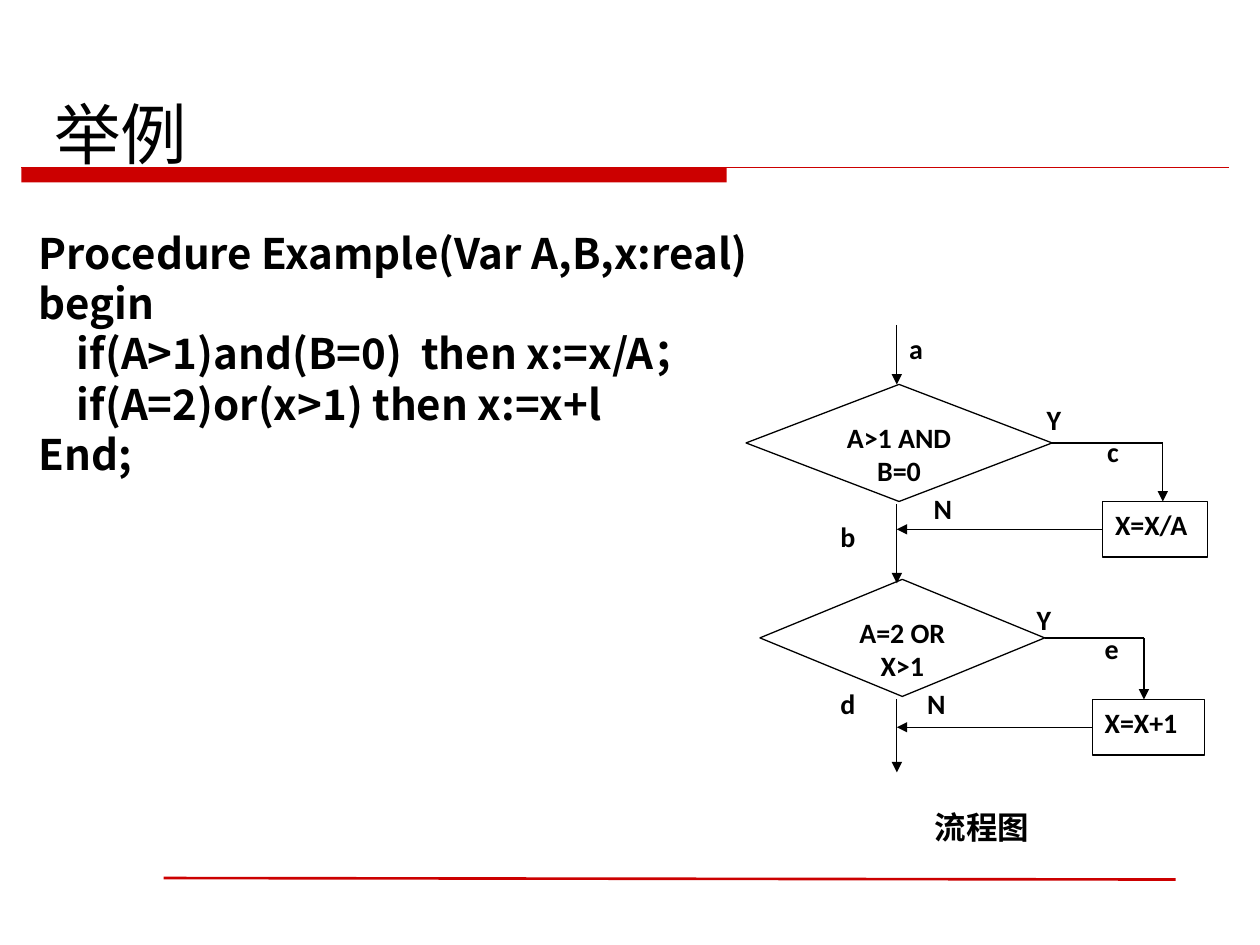
from lxml.etree import SubElement
from pptx import Presentation
from pptx.dml.color import RGBColor
from pptx.enum.shapes import MSO_CONNECTOR, MSO_SHAPE
from pptx.enum.text import MSO_ANCHOR as Anchor, MSO_AUTO_SIZE as AutoSize, PP_ALIGN as Align
from pptx.oxml.ns import qn
from pptx.util import Cm, Pt

BLACK, WHITE, RED = "000000", "FFFFFF", "CC0000"
TOP, LEFT, RIGHT = 0, 1, 3
STEM_X = 18.08

CODE = """Procedure Example(Var A,B,x:real)
begin
    if(A>1)and(B=0)  then x:=x/A；
    if(A=2)or(x>1) then x:=x+l
End;"""

LABELS = [
    ("Y", 20.85, 7.98), ("Y", 20.65, 12.01),
    ("N", 18.57, 9.78), ("N", 18.44, 13.72),
    ("a", STEM_X, 6.55), ("b", 16.69, 10.34), ("c", 22.07, 8.64),
    ("d", 16.69, 13.72), ("e", 22.02, 12.6),
]


def color(value):
    return RGBColor.from_string(value)


def write_text(shape, text, size=16, font="Calibri", bold=True,
               align=Align.JUSTIFY, anchor=Anchor.TOP, line_spacing=None):
    frame = shape.text_frame
    frame.word_wrap = True
    frame.auto_size = AutoSize.NONE
    frame.vertical_anchor = anchor
    frame.margin_left = frame.margin_right = Cm(0.25)
    frame.margin_top = frame.margin_bottom = Cm(0.13)
    frame.text = text
    for paragraph in frame.paragraphs:
        paragraph.alignment = align
        if line_spacing:
            paragraph.line_spacing = Pt(line_spacing)
        for run in paragraph.runs:
            run.font.size = Pt(size)
            run.font.bold = bold
            run.font.color.rgb = color(BLACK)
            run.font.name = font
            SubElement(run.font._element, qn("a:ea"), typeface=font)


def add_text(slide, text, left, top, width=1.37, height=1.12, **text_format):
    box = slide.shapes.add_textbox(Cm(left), Cm(top), Cm(width), Cm(height))
    write_text(box, text, **text_format)


def add_box(slide, kind, left, top, width, height, fill=WHITE, line=BLACK):
    shape = slide.shapes.add_shape(kind, Cm(left), Cm(top), Cm(width), Cm(height))
    shape.shadow.inherit = False
    shape.fill.solid()
    shape.fill.fore_color.rgb = color(fill)
    if line:
        shape.line.color.rgb = color(line)
        shape.line.width = Pt(0.75)
    else:
        shape.line.fill.background()
    return shape


def add_line(slide, start, end, line=BLACK, width=0.75, arrow=False):
    connector = slide.shapes.add_connector(
        MSO_CONNECTOR.STRAIGHT, *(Cm(value) for value in (*start, *end)))
    connector.line.color.rgb = color(line)
    connector.line.width = Pt(width)
    if arrow:
        SubElement(connector.line._get_or_add_ln(), qn("a:tailEnd"), type="triangle")
    SubElement(connector._element.spPr, qn("a:effectLst"))
    return connector


def add_branch(slide, condition, diamond, action, box, drop_x):
    """Draw a decision, its action and the lines leading there and back."""
    decision = add_box(slide, MSO_SHAPE.FLOWCHART_DECISION, *diamond)
    write_text(decision, condition, align=Align.CENTER)
    step = add_box(slide, MSO_SHAPE.RECTANGLE, *box)
    write_text(step, action)

    left, top, width, height = diamond
    branch_y = top + height / 2
    out = add_line(slide, (left + width, branch_y), (drop_x, branch_y))
    out.begin_connect(decision, RIGHT)
    add_line(slide, (drop_x, branch_y), (drop_x, box[1]), arrow=True)

    return_y = box[1] + box[3] / 2
    back = add_line(slide, (box[0], return_y), (STEM_X, return_y), arrow=True)
    back.begin_connect(step, LEFT)


def add_rules(slide):
    add_box(slide, MSO_SHAPE.RECTANGLE, 0.43, 3.38, 14.22, 0.3, fill=RED, line=None)
    add_line(slide, (0.43, 3.38), (24.77, 3.38), line=RED)
    add_line(slide, (3.3, 17.7), (23.7, 17.73), line=RED, width=1.5)


def add_title(slide, text):
    title = slide.shapes.title
    title.left, title.top, title.width, title.height = (
        Cm(value) for value in (0.84, 1.27, 24.13, 2.34))
    write_text(title, text, size=38, font="DejaVu Sans", bold=False,
               align=Align.LEFT, anchor=Anchor.BOTTOM)


def add_flowchart(slide):
    add_branch(slide, "A>1 AND B=0", (15.04, 7.75, 6.17, 2.36),
               "X=X/A", (22.23, 10.11, 2.11, 1.12), drop_x=23.44)
    add_branch(slide, "A=2 OR X>1", (15.32, 11.68, 5.74, 2.36),
               "X=X+1", (22.02, 14.1, 2.26, 1.12), drop_x=23.06)
    for top, bottom in [(6.55, 7.75), (10.16, 11.76), (14.1, 15.57)]:
        add_line(slide, (STEM_X, top), (STEM_X, bottom), arrow=True)
    for text, left, top in LABELS:
        add_text(slide, text, left, top)
    add_text(slide, "流程图", 18.59, 16.15, width=5.21, size=18)


def main():
    presentation = Presentation()
    presentation.slide_width, presentation.slide_height = Cm(25.4), Cm(19.05)
    slide = presentation.slides.add_slide(presentation.slide_layouts[5])
    add_rules(slide)
    add_title(slide, "举例")
    add_text(slide, CODE, 0.53, 4.45, 16.87, 5.33, size=24,
             font="Noto Sans CJK SC", align=Align.LEFT, line_spacing=28.8)
    add_flowchart(slide)
    presentation.save("out.pptx")


if __name__ == "__main__":
    main()
